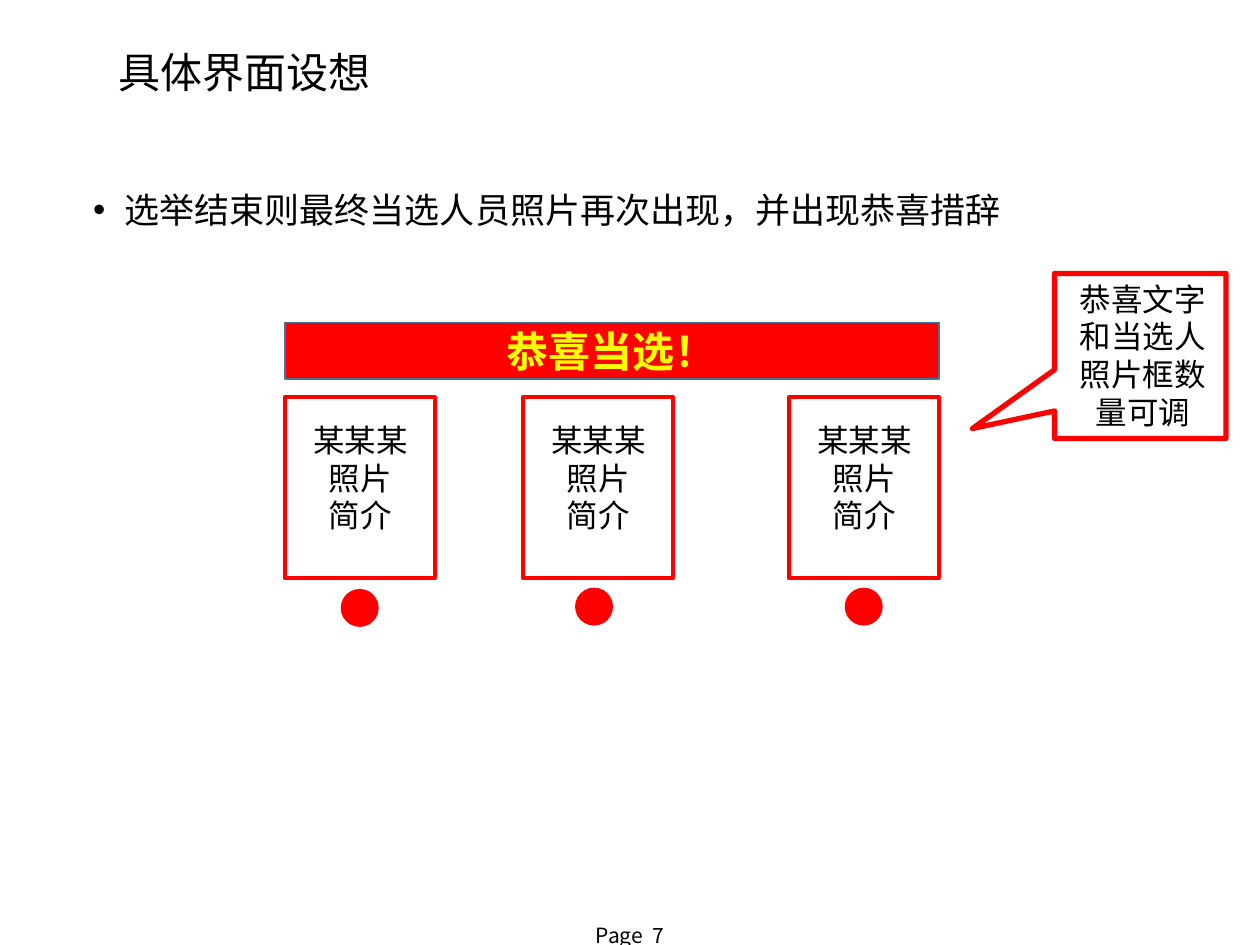
from lxml import etree
from pptx import Presentation
from pptx.dml.color import RGBColor
from pptx.enum.shapes import MSO_SHAPE
from pptx.enum.text import MSO_ANCHOR, PP_ALIGN
from pptx.oxml.ns import qn
from pptx.util import Inches, Pt

RECT, OVAL = MSO_SHAPE.RECTANGLE, MSO_SHAPE.OVAL
CALLOUT = MSO_SHAPE.RECTANGULAR_CALLOUT
TOP, MIDDLE = MSO_ANCHOR.TOP, MSO_ANCHOR.MIDDLE
LEFT, CENTER = PP_ALIGN.LEFT, PP_ALIGN.CENTER
CJK, LATIN = "Noto Sans CJK SC", "Calibri"
RED, YELLOW, BLACK, BLUE = "FF0000", "FFFF00", "000000", "43739E"


def rgb(value):
    """Turn a hex string into a colour."""
    return RGBColor.from_string(value)


def set_attrs(obj, values):
    """Set each named attribute of an object."""
    for name, value in values.items():
        setattr(obj, name, value)


def write(sp, lines, size, font=LATIN, color=BLACK, bold=False,
          anchor=TOP, **para):
    """Write one formatted paragraph per line into a shape."""
    tf = sp.text_frame
    set_attrs(tf, {"word_wrap": True, "vertical_anchor": anchor})
    for i, line in enumerate(lines):
        p = tf.add_paragraph() if i else tf.paragraphs[0]
        set_attrs(p, {"alignment": CENTER, **para})
        r = p.add_run()
        r.text = line
        set_attrs(r.font, {"name": font, "size": Pt(size), "bold": bold})
        r.font.color.rgb = rgb(color)
        latin = r.font._element.find(qn("a:latin"))
        ea = etree.Element(qn("a:ea"), typeface=CJK)
        latin.addnext(ea)
    return tf


def add_text(s, box, lines, size, **style):
    """Add a text box in the given box."""
    sp = s.shapes.add_textbox(*map(Inches, box))
    return write(sp, lines, size, **style)


def add_shape(s, kind, box, fill=None, line=RED, width=2.25):
    """Add an outlined preset shape, filled if a colour is given."""
    sp = s.shapes.add_shape(kind, *map(Inches, box))
    sp.shadow.inherit = False
    if fill:
        sp.fill.solid()
        sp.fill.fore_color.rgb = rgb(fill)
    else:
        sp.fill.background()
    sp.line.color.rgb = rgb(line)
    sp.line.width = Pt(width)
    return sp


def add_bullet(s, box, text):
    """Add the bulleted statement."""
    tf = add_text(s, box, [text], 20, font=CJK, alignment=LEFT,
                  line_spacing=1.5, space_before=Pt(10))
    pPr = tf.paragraphs[0]._p.get_or_add_pPr()
    pPr.set("marL", str(Inches(0.25)))
    pPr.set("indent", str(Inches(-0.25)))
    etree.SubElement(pPr, qn("a:buFont"), typeface="Arial")
    etree.SubElement(pPr, qn("a:buChar"), char="•")


def add_banner(s, box, text):
    """Add the congratulation banner."""
    sp = add_shape(s, RECT, box, RED, BLUE, 1)
    write(sp, [text], 24, color=YELLOW, bold=True, anchor=MIDDLE)


def add_candidate(s, box, dot_x, dot_y):
    """Add a candidate frame with its caption and the dot below."""
    x, y, w, h = box
    add_shape(s, RECT, box)
    add_text(s, (x + 0.08, y + 0.14, w - 0.15, 1.01),
             ["某某某", "照片", "简介"], 18)
    add_shape(s, OVAL, (dot_x, dot_y, 0.27, 0.27), RED)


def add_callout(s, box, text):
    """Add the remark whose pointer reaches left to the frames."""
    x, y, w, h = box
    sp = add_shape(s, CALLOUT, box, width=3)
    sp.adjustments[0] = -0.98
    sp.adjustments[1] = 0.44
    add_text(s, (x, y, w + 0.04, h), [text], 18)


def main():
    """Build the slide and save it."""
    prs = Presentation()
    prs.slide_width, prs.slide_height = Inches(10), Inches(7.5)
    s = prs.slides.add_slide(prs.slide_layouts[6])
    add_text(s, (0, 7.27, 10, 0.4), ["Page  7"], 12, font=CJK)
    add_text(s, (0.84, 0.24, 7.77, 0.71), ["具体界面设想"], 24, font=CJK,
             anchor=MIDDLE, alignment=LEFT, line_spacing=0.9)
    add_bullet(s, (0.64, 1.28, 8.86, 5.52),
               "选举结束则最终当选人员照片再次出现，并出现恭喜措辞")
    for x, dot_x, dot_y in ((2.26, 2.72, 4.69), (4.15, 4.58, 4.68),
                            (6.26, 6.72, 4.68)):
        add_candidate(s, (x, 3.15, 1.19, 1.44), dot_x, dot_y)
    add_banner(s, (2.26, 2.56, 5.19, 0.45), "恭喜当选！")
    add_callout(s, (8.37, 2.17, 1.36, 1.31),
                "恭喜文字和当选人照片框数量可调")
    prs.save("out.pptx")


if __name__ == "__main__":
    main()
